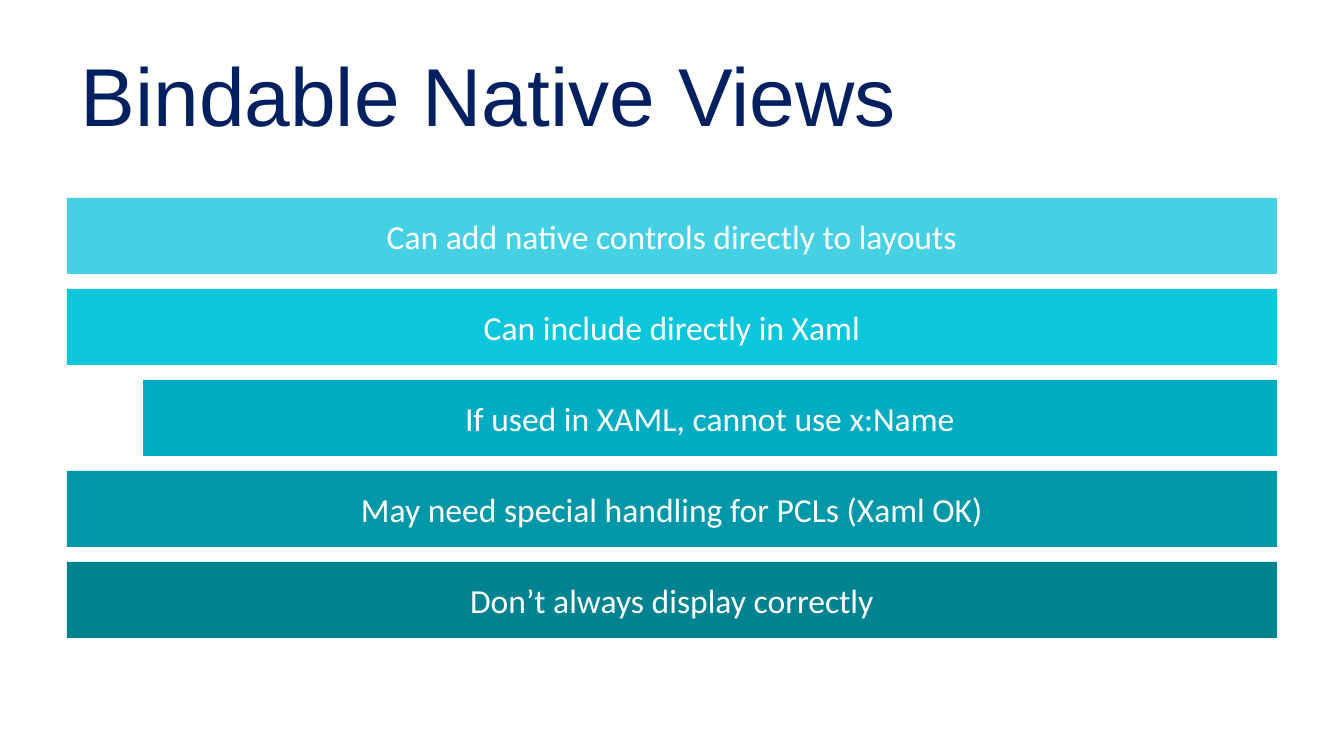
import dataclasses

import pptx
import pptx.dml.color
import pptx.enum.shapes
import pptx.enum.text
import pptx.util

EMU_PER_PX = 914400 / 134.4


@dataclasses.dataclass(frozen=True)
class Theme:
    background: str = "FFFFFF"
    title_color: str = "002060"
    title_font: str = "Arial"
    title_size: int = 44
    bar_text: str = "FFFFFF"
    bar_font: str = "Calibri"
    bar_size: int = 18
    bar_fills: tuple = ("45D1E3", "0CC6DC", "00ACC2", "0097A9", "008390")


THEME = Theme()

# Slide layout in px
SLIDE_WIDTH, SLIDE_HEIGHT = 1344, 756
LEFT, RIGHT = 67, 1277
TITLE_TOP, TITLE_HEIGHT = 31, 126
BARS_TOP, BAR_HEIGHT, BAR_GAP, BAR_INDENT = 198, 76, 15, 76

# Statement and its indent level
STATEMENTS = [
    ("Can add native controls directly to layouts", 0),
    ("Can include directly in Xaml", 0),
    ("If used in XAML, cannot use x:Name", 1),
    ("May need special handling for PCLs (Xaml OK)", 0),
    ("Don’t always display correctly", 0),
]


def px(length):
    return pptx.util.Emu(round(length * EMU_PER_PX))


def rgb(color):
    return pptx.dml.color.RGBColor.from_string(color)


def set_text(frame, text, font, size, color, alignment):
    frame.text = text
    frame.word_wrap = True
    frame.vertical_anchor = pptx.enum.text.MSO_ANCHOR.MIDDLE
    paragraph = frame.paragraphs[0]
    paragraph.alignment = alignment
    paragraph.font.name = font
    paragraph.font.size = pptx.util.Pt(size)
    paragraph.font.color.rgb = rgb(color)


def add_title(slide, text):
    title = slide.shapes.title
    title.left, title.top = px(LEFT), px(TITLE_TOP)
    title.width, title.height = px(RIGHT - LEFT), px(TITLE_HEIGHT)
    set_text(title.text_frame, text, THEME.title_font, THEME.title_size,
             THEME.title_color, pptx.enum.text.PP_ALIGN.LEFT)


def add_bar(slide, text, left, top, fill):
    bar = slide.shapes.add_shape(
        pptx.enum.shapes.MSO_SHAPE.RECTANGLE,
        px(left), px(top), px(RIGHT - left), px(BAR_HEIGHT))
    bar.shadow.inherit = False
    bar.fill.solid()
    bar.fill.fore_color.rgb = rgb(fill)
    bar.line.fill.background()
    set_text(bar.text_frame, text, THEME.bar_font, THEME.bar_size,
             THEME.bar_text, pptx.enum.text.PP_ALIGN.CENTER)


def main():
    deck = pptx.Presentation()
    deck.slide_width, deck.slide_height = px(SLIDE_WIDTH), px(SLIDE_HEIGHT)
    title_only = deck.slide_layouts[5]
    slide = deck.slides.add_slide(title_only)
    slide.background.fill.solid()
    slide.background.fill.fore_color.rgb = rgb(THEME.background)

    # Title
    add_title(slide, "Bindable Native Views")

    # Stacked statement bars, light to dark
    for row, ((text, level), fill) in enumerate(zip(STATEMENTS, THEME.bar_fills)):
        add_bar(slide, text, LEFT + level * BAR_INDENT,
                BARS_TOP + row * (BAR_HEIGHT + BAR_GAP), fill)

    deck.save("out.pptx")


if __name__ == "__main__":
    main()
